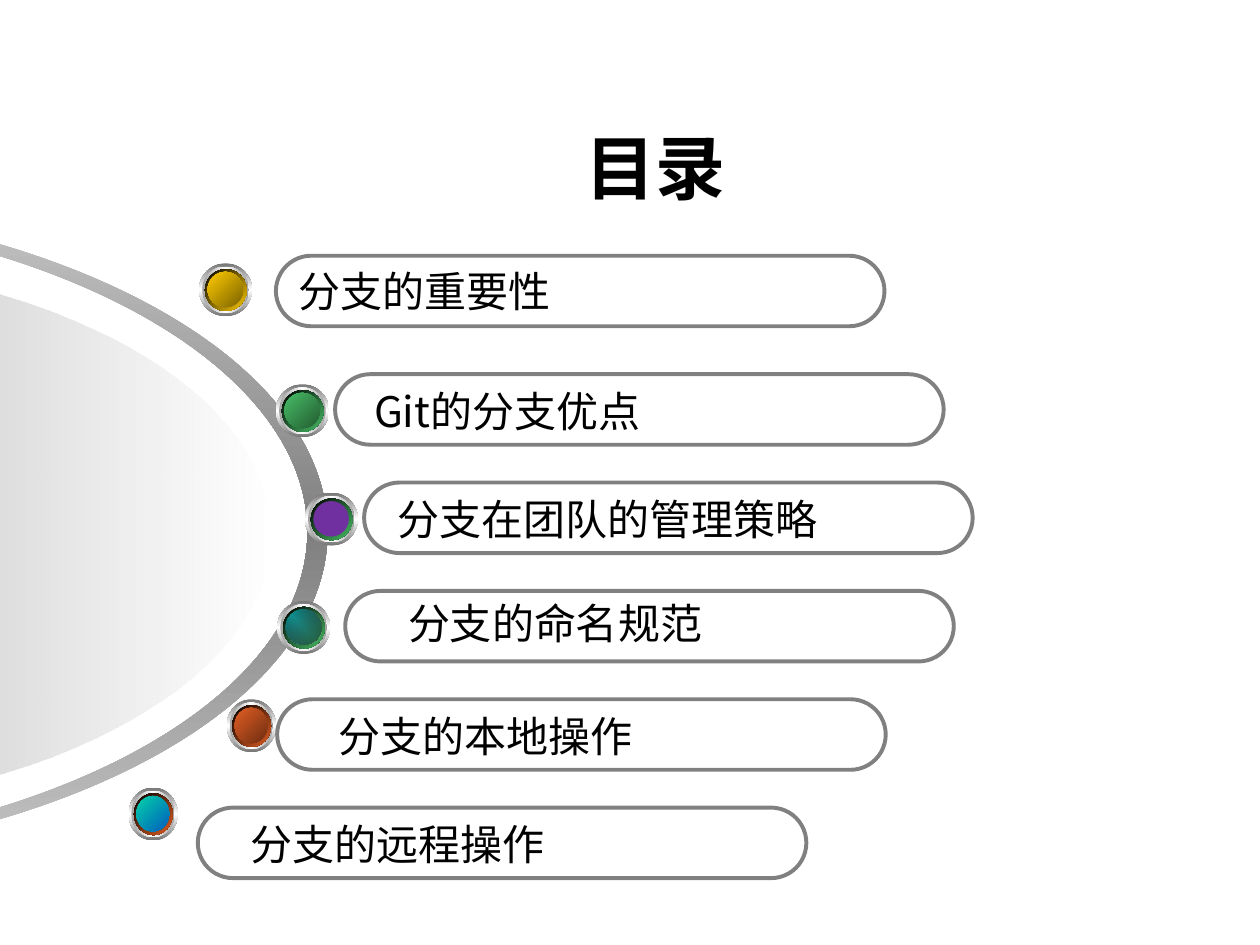
from dataclasses import dataclass

from lxml import etree
from pptx import Presentation
from pptx import util as u
from pptx.dml import color
from pptx.enum import shapes, text
from pptx.oxml import ns


@dataclass(frozen=True)
class Theme:
    ink: str = "000000"
    line: str = "808080"
    title_font: str = "Arial"
    body_font: str = "Noto Sans CJK SC"
    title_size: int = 40
    body_size: int = 24
    line_width: float = 2.25
    # Gradients: (angle, [(position, colour, opacity)])
    ring: tuple = (90, [(0, "C5C5C5", 100), (50, "808080", 100), (100, "C5C5C5", 100)])
    disc: tuple = (0, [(0, "808080", 56), (100, "FFFFFF", 48)])
    bezel: tuple = (90, [(0, "767676", 100), (50, "FFFFFF", 100), (100, "767676", 100)])
    inner_bezel: tuple = (0, [(0, "A2A2A2", 100), (50, "FFFFFF", 100), (100, "A2A2A2", 100)])
    teal: tuple = (315, [(0, "005353", 100), (50, "009999", 100), (100, "005353", 100)])


THEME = Theme()
GOLD, GREEN, RUST = "FFCC00", "48BE67", "E35E23"
ARC = 0.55  # control point distance of a quarter ellipse, as a share of its radius


def diagonal(start, end, start_opacity=100):
    return 45, [(0, start, start_opacity), (100, end, 100)]


# Label, pill position, text box (left, top, width, height; None = in the pill),
# line spacing, gem box, rim colour, face layers
ITEMS = [
    ("分支的重要性", (2.19, 2.03), None, 1,
     (1.58, 2.09, 0.42, 0.42), GOLD, [diagonal(GOLD, "7C6300")]),
    ("Git的分支优点", (2.66, 2.97), (2.87, 3.01, 2.39, 0.5), 1,
     (2.19, 3.05, 0.42, 0.42), GREEN, [diagonal(GREEN, "235C32")]),
    ("分支在团队的管理策略", (2.89, 3.83), (3.06, 3.87, 3.53, 0.5), 1,
     (2.42, 3.91, 0.42, 0.42), GREEN, ["7030A0"]),
    ("分支的命名规范", (2.74, 4.69), (3.14, 4.69, 2.53, 0.5), 1,
     (2.2, 4.77, 0.42, 0.42), GREEN, [THEME.teal, diagonal("595959", "235C32", 0)]),
    ("分支的本地操作", (2.2, 5.55), (2.59, 5.55, 2.53, 0.54), 1.1,
     (1.8, 5.55, 0.39, 0.42), RUST, [diagonal(RUST, "6E2E11")]),
    ("分支的远程操作", (1.57, 6.41), (1.89, 6.41, 2.53, 0.54), 1.1,
     (1.02, 6.25, 0.39, 0.42), RUST, [diagonal("03D4A8", "005CBF")]),
]


def inches(values):
    return [u.Inches(value) for value in values]


def set_values(target, values):
    for name, value in values.items():
        setattr(target, name, value)


def paint(shape, fill):
    """Fill a shape, without outline, with a colour or a gradient."""
    shape.shadow.inherit = False
    shape.line.fill.background()
    if isinstance(fill, str):
        shape.fill.solid()
        shape.fill.fore_color.rgb = color.RGBColor.from_string(fill)
        return
    angle, stops = fill
    shape.fill.gradient()
    gradient = shape.element.spPr.find(ns.qn("a:gradFill"))
    for child in list(gradient):
        gradient.remove(child)
    stop_list = etree.SubElement(gradient, ns.qn("a:gsLst"))
    for position, colour, opacity in stops:
        stop = etree.SubElement(stop_list, ns.qn("a:gs"), pos=str(position * 1000))
        rgb = etree.SubElement(stop, ns.qn("a:srgbClr"), val=colour)
        if opacity < 100:
            etree.SubElement(rgb, ns.qn("a:alpha"), val=str(opacity * 1000))
    etree.SubElement(gradient, ns.qn("a:lin"), ang=str(angle * 60000), scaled="0")


def write(shape, wording, font_name, size, bold, alignment, spacing=1):
    frame = shape.text_frame
    frame.vertical_anchor = text.MSO_ANCHOR.MIDDLE
    paragraph = frame.paragraphs[0]
    set_values(paragraph, {"alignment": alignment, "line_spacing": spacing,
                           "space_before": u.Pt(0)})
    run = paragraph.add_run()
    run.text = wording
    set_values(run.font, {"name": font_name, "size": u.Pt(size), "bold": bold})
    run.font.color.rgb = color.RGBColor.from_string(THEME.ink)
    etree.SubElement(run.font._element, ns.qn("a:ea"), typeface=font_name)


def half_ellipse(center, radii):
    """Start, controls and ends of two curves down the right half of an ellipse."""
    unit = [(0, -1), (ARC, -1), (1, -ARC), (1, 0), (1, ARC), (ARC, 1), (0, 1)]
    return [(center[0] + x * radii[0], center[1] + y * radii[1]) for x, y in unit]


def add_outline(slide, arcs, fill):
    """Closed outline of curved arcs, joined by straight lines."""
    points = [inches(point) for arc in arcs for point in arc]
    builder = slide.shapes.build_freeform(*points[0])
    builder.add_line_segments(points[1:], close=True)
    shape = builder.convert_to_shape()
    lines = list(shape.element.iter(ns.qn("a:lnTo")))
    arc_length = len(arcs[0])
    for arc_index in range(len(arcs)):
        first = arc_index * arc_length
        for start in range(first, first + arc_length - 1, 3):
            members = lines[start:start + 3]
            curve = etree.Element(ns.qn("a:cubicBezTo"))
            members[0].addprevious(curve)
            for line in members:
                curve.append(line[0])
                line.getparent().remove(line)
    paint(shape, fill)


def add_dome(slide):
    """Ring and translucent disc at the left edge."""
    center = (-2.62, 4.22)
    inner = half_ellipse(center, (5.06, 2.56))
    outer = half_ellipse(center, (5.22, 2.64))
    add_outline(slide, [inner, outer[::-1]], THEME.ring)
    add_outline(slide, [half_ellipse((-2.15, 4.24), (4.3, 2.2))], THEME.disc)


def add_gem(slide, box, rim, faces):
    """Nested ellipses, from the bezel to the coloured face."""
    left, top, width, height = box
    group = slide.shapes.add_group_shape()
    layers = [(0, 1, THEME.bezel), (0.06, 0.88, THEME.inner_bezel),
              (0.11, 0.79, diagonal("000000", rim))]
    layers += [(0.16, 0.67, face) for face in faces]
    for offset, scale, fill in layers:
        ellipse = group.shapes.add_shape(
            shapes.MSO_SHAPE.OVAL,
            *inches((left + offset * width, top + offset * height,
                     scale * width, scale * height)))
        paint(ellipse, fill)


def add_pill(slide, position):
    pill = slide.shapes.add_shape(shapes.MSO_SHAPE.ROUNDED_RECTANGLE,
                                  *inches((*position, 4.83, 0.56)))
    pill.adjustments[0] = 0.5
    pill.shadow.inherit = False
    pill.fill.background()
    pill.line.color.rgb = color.RGBColor.from_string(THEME.line)
    pill.line.width = u.Pt(THEME.line_width)
    return pill


def add_item(slide, label, position, text_box, spacing, gem_box, rim, faces):
    """One entry: gem, pill and label."""
    add_gem(slide, gem_box, rim, faces)
    holder = add_pill(slide, position)
    if text_box:
        holder = slide.shapes.add_textbox(*inches(text_box))
        holder.text_frame.word_wrap = False
    write(holder, label, THEME.body_font, THEME.body_size, False,
          text.PP_ALIGN.LEFT, spacing)


def add_title(slide, wording, box):
    title = slide.shapes.title
    set_values(title, dict(zip(("left", "top", "width", "height"), inches(box))))
    set_values(title.text_frame, {"margin_top": u.Inches(0.12),
                                  "margin_bottom": u.Inches(0.05)})
    write(title, wording, THEME.title_font, THEME.title_size, True, text.PP_ALIGN.CENTER)


def main():
    presentation = Presentation()
    set_values(presentation, {"slide_width": u.Inches(10), "slide_height": u.Inches(7.5)})
    slide = presentation.slides.add_slide(presentation.slide_layouts[5])
    add_dome(slide)
    add_title(slide, "目录", (0.7, 0.93, 9, 0.71))
    for item in ITEMS:
        add_item(slide, *item)
    presentation.save("out.pptx")


if __name__ == "__main__":
    main()
